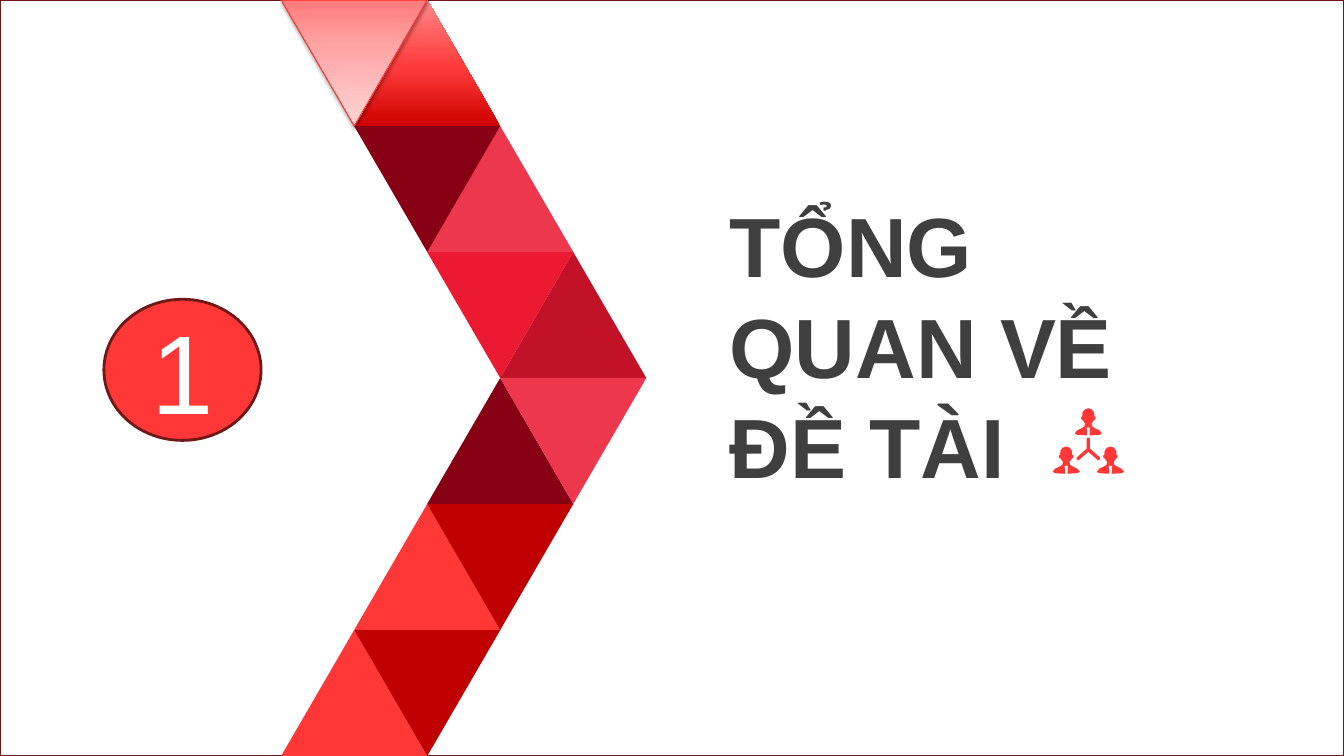
from lxml import etree
from pptx import Presentation
from pptx.dml.color import RGBColor
from pptx.enum.shapes import MSO_SHAPE
from pptx.enum.text import MSO_ANCHOR, PP_ALIGN
from pptx.oxml.ns import qn
from pptx.util import Pt

RECT, OVAL, TRI = MSO_SHAPE.RECTANGLE, MSO_SHAPE.OVAL, MSO_SHAPE.ISOSCELES_TRIANGLE
MIDDLE, CENTER = MSO_ANCHOR.MIDDLE, PP_ALIGN.CENTER

INK = {
    "white": "FFFFFF", "edge": "701818", "text": "3F3F3F", "red": "FF3737",
    "dark": "880014", "rose": "ED374D", "bright": "EB1932", "deep": "C21227",
    "brick": "C00000", "rim": "FD3030", "black": "000000",
}
TITLE = "TỔNG QUAN VỀ ĐỀ TÀI"
NUMBER = "1"
FADES = {
    "glow": [(0, "CF0000"), (48, "FF3C3C"), (100, "FF8787")],
    "pale": [(0, "FF7A7B"), (35, "FFA3A3"), (100, "FFD6D6")],
}
ROWS = [
    ("glow", "pale"), ("rose", "dark"), ("deep", "bright"),
    ("dark", "rose"), ("red", "brick"), ("red", "brick"),
]
WIDE, HIGH = 960, 540
LEFT, STEP, SIDE = 200.8, 52.15, 104.4
HALF = [
    (0, 0), (2.5, 0.8), (4.2, 3.2), (4.3, 5.8), (5.2, 6.5), (5, 7.8),
    (3.8, 8.8), (2.3, 11), (2.8, 13), (5, 14.4), (8, 15.8), (9.7, 18),
    (8, 19), (1, 19.4), (1, 15.2), (1.4, 14.2), (0.6, 13.7),
]
HEADS = [(777.4, 291.6), (761.6, 319), (793.2, 319)]
FORK = [
    (0, 0), (0.9, 0.4), (1.2, 1.4), (1.2, 8), (8.2, 14.2), (8.4, 15.4),
    (7.4, 16.4), (6.6, 16), (0, 10.2),
]


def paint(shape, fill, line=None, width=2):
    shape.shadow.inherit = False
    if fill in FADES:
        shape.fill.gradient()
        shape.fill.gradient_angle = 90
        stops = shape._element.spPr.find(".//" + qn("a:gsLst"))
        for old in list(stops):
            stops.remove(old)
        for place, tone in FADES[fill]:
            stop = etree.SubElement(stops, qn("a:gs"), pos=str(place * 1000))
            etree.SubElement(stop, qn("a:srgbClr"), val=tone)
    else:
        shape.fill.solid()
        shape.fill.fore_color.rgb = RGBColor.from_string(INK[fill])
    if line:
        shape.line.color.rgb = RGBColor.from_string(INK[line])
        shape.line.width = Pt(width)
    else:
        shape.line.fill.background()


def add(kind, x, y, w, h, fill, line=None, width=2):
    shape = slide.shapes.add_shape(kind, Pt(x), Pt(y), Pt(w), Pt(h))
    paint(shape, fill, line, width)
    return shape


def shade(shape):
    effect = shape._element.spPr.find(qn("a:effectLst"))
    cast = etree.SubElement(
        effect, qn("a:outerShdw"), blurRad=str(Pt(3.1)), dist=str(Pt(1.6)),
        dir="5400000", rotWithShape="0")
    tone = etree.SubElement(cast, qn("a:srgbClr"), val=INK["black"])
    etree.SubElement(tone, qn("a:alpha"), val="37000")


def write(para, text, size, color, bold=False):
    run = para.add_run()
    run.text = text
    run.font.name = "Arial"
    run.font.size = Pt(size)
    run.font.bold = bold
    run.font.color.rgb = RGBColor.from_string(INK[color])


def mirror(half, x, y):
    both = half + [(-dx, dy) for dx, dy in reversed(half)]
    return [(Pt(x + dx), Pt(y + dy)) for dx, dy in both]


deck = Presentation()
deck.slide_width, deck.slide_height = Pt(WIDE), Pt(HIGH)
slide = deck.slides.add_slide(deck.slide_layouts[6])

add(RECT, 0, 0, WIDE, HIGH, "white", "edge")

tall = HIGH / len(ROWS)
for row, (rise, drop) in enumerate(ROWS):
    depth = min(row, len(ROWS) - 1 - row)
    near, far = LEFT + depth * STEP, LEFT + (depth + 1) * STEP
    top = row < len(ROWS) / 2
    add(TRI, far if top else near, row * tall, SIDE, tall, rise)
    rim = "rim" if drop in FADES else None
    down = add(TRI, near if top else far, row * tall, SIDE, tall, drop, rim, 0.75)
    down.rotation = 180
    if rim:
        shade(down)

loops = [mirror(HALF, x, y) for x, y in HEADS]
loops.append(mirror(FORK, HEADS[0][0], 312.5))
team = slide.shapes.build_freeform(*loops[0][0], scale=1.0)
for index, loop in enumerate(loops):
    if index:
        team.move_to(*loop[0])
    team.add_line_segments(loop[1:], close=True)
paint(team.convert_to_shape(), "red")

box = slide.shapes.add_textbox(Pt(514), Pt(134.6), Pt(353), Pt(225.4))
box.text_frame.word_wrap = True
write(box.text_frame.paragraphs[0], TITLE, 60, "text", True)

badge = add(OVAL, 74.2, 213.8, 112.3, 100.8, "red", "edge")
badge.text_frame.vertical_anchor = MIDDLE
para = badge.text_frame.paragraphs[0]
para.alignment = CENTER
write(para, NUMBER, 80, "white")

deck.save("out.pptx")
